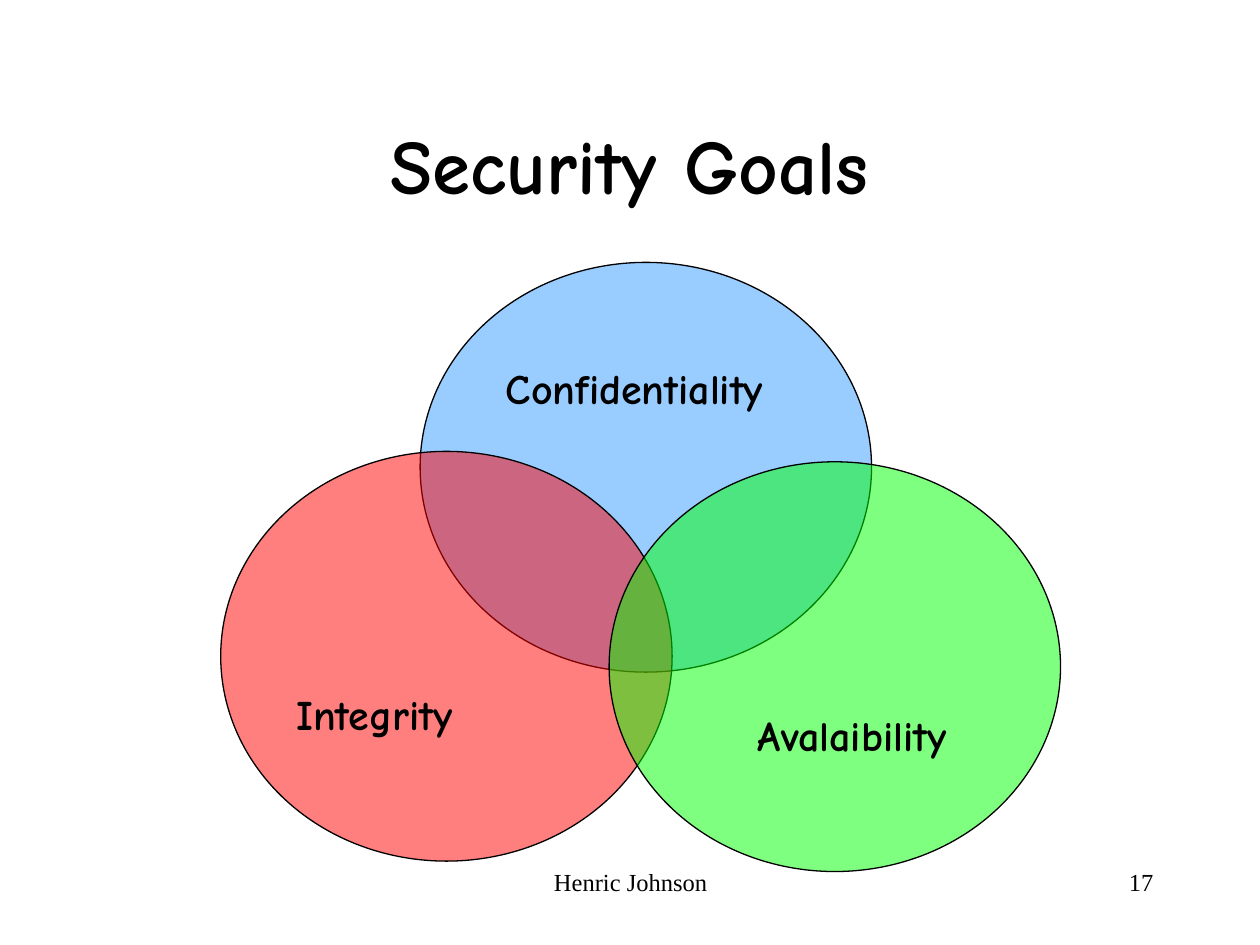
from lxml import etree
from pptx import Presentation
from pptx.dml.color import RGBColor
from pptx.enum.shapes import MSO_SHAPE
from pptx.enum.text import MSO_ANCHOR, PP_ALIGN
from pptx.oxml.ns import qn
from pptx.util import Cm, Pt

OVAL = MSO_SHAPE.OVAL
MIDDLE = MSO_ANCHOR.MIDDLE
LEFT, CENTER, RIGHT = PP_ALIGN.LEFT, PP_ALIGN.CENTER, PP_ALIGN.RIGHT

COLORS = {"ink": "000000", "confidentiality": "99CCFF",
          "integrity": "FF0000", "availability": "00FF00"}
HEAD_FONT, FOOT_FONT = "Comic Neue", "Times New Roman"
CIRCLE_W, CIRCLE_H = 9.1, 8.26

# name, colour, opacity, circle offset in the diagram, label offset in the circle, label width
GOALS = [
    ("Confidentiality", "confidentiality", 100, (4.02, 0), (1.48, 1.9), 6.77),
    ("Integrity", "integrity", 50, (0, 3.81), (1.27, 4.66), 5.5),
    ("Avalaibility", "availability", 50, (7.83, 4.02), (2.75, 4.87), 5.72),
]


def rgb(name):
    """Return the palette colour called name."""
    return RGBColor.from_string(COLORS[name])


def write(tf, text, font, size, align, bold=False):
    """Put one formatted paragraph into a text frame."""
    tf.word_wrap = True
    p = tf.paragraphs[0]
    p.text = text
    p.alignment = align
    p.font.name, p.font.size, p.font.bold = font, Pt(size), bold
    p.font.color.rgb = rgb("ink")


def add_label(s, x, y, w, text, font, size, align, bold=False):
    """Add a one-line text box."""
    box = s.shapes.add_textbox(Cm(x), Cm(y), Cm(w), Cm(1.27))
    write(box.text_frame, text, font, size, align, bold)


def add_title(s, x, y, w, h):
    """Place and format the title placeholder."""
    sp = s.shapes.title
    sp.left, sp.top, sp.width, sp.height = Cm(x), Cm(y), Cm(w), Cm(h)
    sp.text_frame.vertical_anchor = MIDDLE
    write(sp.text_frame, "Security Goals", HEAD_FONT, 44, CENTER, True)


def add_circle(s, x, y, color, opacity):
    """Add one outlined circle of the diagram."""
    sp = s.shapes.add_shape(OVAL, Cm(x), Cm(y), Cm(CIRCLE_W), Cm(CIRCLE_H))
    sp.shadow.inherit = False
    sp.fill.solid()
    sp.fill.fore_color.rgb = rgb(color)
    sp.line.color.rgb = rgb("ink")
    sp.line.width = Pt(0.75)
    if opacity < 100:
        clr = sp.element.spPr.find(qn("a:solidFill")).find(qn("a:srgbClr"))
        etree.SubElement(clr, qn("a:alpha"), val=str(opacity * 1000))


def add_venn(s, x, y):
    """Add the three overlapping goals, with their labels on top."""
    for _, color, opacity, (dx, dy), _, _ in GOALS:
        add_circle(s, x + dx, y + dy, color, opacity)
    for name, _, _, (dx, dy), (lx, ly), w in GOALS:
        add_label(s, x + dx + lx, y + dy + ly, w, name, HEAD_FONT, 24, LEFT, True)


def add_footer(s, x, y):
    """Add the author's name and the page number."""
    add_label(s, x, y, 8.05, "Henric Johnson", FOOT_FONT, 14, CENTER)
    add_label(s, x + 9.52, y, 5.29, "17", FOOT_FONT, 14, RIGHT)


def main():
    """Build and save the slide."""
    prs = Presentation()
    prs.slide_width, prs.slide_height = Cm(25.4), Cm(19.05)
    s = prs.slides.add_slide(prs.slide_layouts[5])
    add_footer(s, 8.69, 17.35)
    add_title(s, 1.9, 1.7, 21.6, 3.18)
    add_venn(s, 4.45, 5.29)
    prs.save("out.pptx")


if __name__ == "__main__":
    main()
